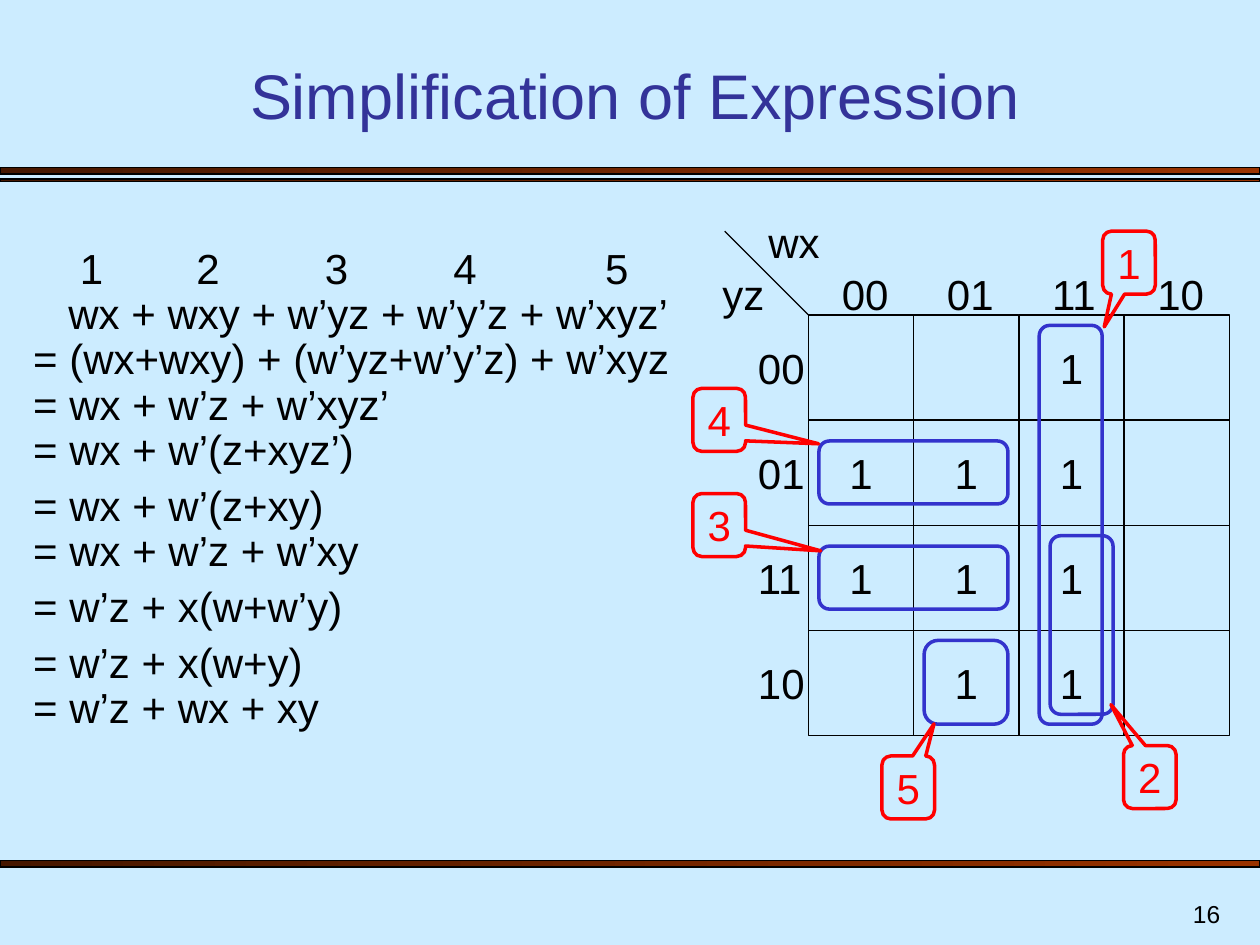
from lxml import etree
from pptx import Presentation
from pptx.dml.color import RGBColor
from pptx.enum.shapes import MSO_CONNECTOR, MSO_SHAPE
from pptx.enum.text import MSO_ANCHOR, PP_ALIGN
from pptx.oxml.ns import qn
from pptx.util import Cm, Pt

RECT = MSO_SHAPE.RECTANGLE
ROUNDED = MSO_SHAPE.ROUNDED_RECTANGLE
CALLOUT = MSO_SHAPE.ROUNDED_RECTANGULAR_CALLOUT
STRAIGHT = MSO_CONNECTOR.STRAIGHT
TOP, MIDDLE, BOTTOM = MSO_ANCHOR.TOP, MSO_ANCHOR.MIDDLE, MSO_ANCHOR.BOTTOM
LEFT, CENTER, RIGHT = PP_ALIGN.LEFT, PP_ALIGN.CENTER, PP_ALIGN.RIGHT

PALE_BLUE = RGBColor(0xCC, 0xEC, 0xFF)
INDIGO = RGBColor(0x33, 0x33, 0x99)
LOOP_BLUE = RGBColor(0x33, 0x33, 0xCC)
RED = RGBColor(0xFF, 0x00, 0x00)
BLACK = RGBColor(0x00, 0x00, 0x00)
RUST = RGBColor(0x99, 0x33, 0x00)
DARK_RUST = RGBColor(0x46, 0x17, 0x00)

FONT = "Arial"
CORNER = 0.167
MAP_LEFT, MAP_TOP, CELL = 16.3, 6.35, 2.12
GRAY_CODE = ["00", "01", "11", "10"]
MINTERMS = ["  1 ", "111 ", "111 ", " 11 "]

BARS = [(3.38, 0.13), (3.61, 0.05), (17.35, 0.13)]
TERM_NUMBERS = "\t1\t2\t3\t4\t5"
TERM_TABS = [0.94, 3.29, 5.88, 8.47, 11.53]
EXPRESSION = "wx + wxy + w’yz + w’y’z + w’xyz’"
EXPRESSION_INDENT = 0.71
STEPS = [
    ["= (wx+wxy) + (w’yz+w’y’z) + w’xyz", "= wx + w’z + w’xyz’", "= wx + w’(z+xyz’)"],
    ["= wx + w’(z+xy)", "= wx + w’z + w’xy"],
    ["= w’z + x(w+w’y)"],
    ["= w’z + x(w+y)", "= w’z + wx + xy"],
]
LOOPS = [
    (20.95, 6.56, 1.27, 8.04),
    (21.17, 10.8, 1.27, 3.6),
    (16.51, 8.89, 3.81, 1.27),
    (16.51, 11.01, 3.81, 1.27),
    (18.63, 12.91, 1.69, 1.69),
]
TERM_CALLOUTS = [
    ("1", 22.23, 4.66, -0.47, 1.02),
    ("2", 22.65, 15.03, -0.74, -1.15),
    ("3", 13.97, 9.95, 1.93, 0.41),
    ("4", 13.97, 7.83, 1.89, 0.38),
    ("5", 17.78, 15.24, 0.49, -1.01),
]


def add_run(paragraph, text, size=24, color=BLACK):
    run = paragraph.add_run()
    run.text = text
    run.font.name = FONT
    run.font.size = Pt(size)
    run.font.color.rgb = color


def add_label(slide, text, box, align=LEFT, anchor=TOP, size=24, color=BLACK):
    frame = slide.shapes.add_textbox(*map(Cm, box)).text_frame
    frame.word_wrap = True
    frame.vertical_anchor = anchor
    frame.paragraphs[0].alignment = align
    add_run(frame.paragraphs[0], text, size, color)


def add_outline(slide, preset, box, color, width, adjustments=()):
    outline = slide.shapes.add_shape(preset, *map(Cm, box))
    outline.shadow.inherit = False
    outline.fill.background()
    outline.line.color.rgb = color
    outline.line.width = Pt(width)
    for index, value in enumerate(adjustments):
        outline.adjustments[index] = value
    return outline


def add_centered_text(outline, text, color=BLACK):
    frame = outline.text_frame
    frame.word_wrap = False
    frame.vertical_anchor = MIDDLE
    frame.paragraphs[0].alignment = CENTER
    add_run(frame.paragraphs[0], text, color=color)


def add_bar(slide, top, height):
    bar = add_outline(slide, RECT, (0, top, 25.4, height), BLACK, 0.75)
    bar.fill.gradient()
    bar.fill.gradient_angle = 180
    for stop, color in zip(bar.fill.gradient_stops, (RUST, DARK_RUST)):
        stop.color.rgb = color


def set_tabs(paragraph, positions):
    tabs = etree.SubElement(paragraph._p.get_or_add_pPr(), qn("a:tabLst"))
    for position in positions:
        etree.SubElement(tabs, qn("a:tab"), pos=str(Cm(position)), algn="l")


def add_step(paragraph, lines, space_before):
    paragraph.alignment = LEFT
    paragraph.line_spacing = 0.9
    paragraph.space_before = Pt(space_before)
    for index, line in enumerate(lines):
        if index:
            paragraph.add_line_break()
        add_run(paragraph, line)


def add_derivation(slide):
    box = slide.shapes.add_textbox(Cm(0.42), Cm(4.87), Cm(13.55), Cm(10.03))
    frame = box.text_frame
    frame.word_wrap = True
    numbers = frame.paragraphs[0]
    add_step(numbers, [TERM_NUMBERS], 6)
    set_tabs(numbers, TERM_TABS)
    expression = frame.add_paragraph()
    add_step(expression, [EXPRESSION], 0)
    expression._p.get_or_add_pPr().set("marL", str(Cm(EXPRESSION_INDENT)))
    for index, lines in enumerate(STEPS):
        add_step(frame.add_paragraph(), lines, 6 if index else 0)


def add_map(slide):
    add_label(slide, "wx", (15.24, 4.23, 1.69, 1.27))
    add_label(slide, "yz", (14.18, 5.29, 1.48, 1.27), RIGHT)
    divider = slide.shapes.add_connector(
        STRAIGHT, Cm(14.61), Cm(4.66), Cm(MAP_LEFT), Cm(MAP_TOP))
    divider.line.color.rgb = BLACK
    divider.line.width = Pt(0.75)
    etree.SubElement(divider._element.spPr, qn("a:effectLst"))
    for index, code in enumerate(GRAY_CODE):
        offset = index * CELL
        add_label(slide, code, (MAP_LEFT + 0.42 + offset, 5.29, 1.52, 1.27))
        add_label(slide, code, (15.03, MAP_TOP + 0.42 + offset, 1.52, 1.27))
    for row, values in enumerate(MINTERMS):
        for column, value in enumerate(values):
            box = (MAP_LEFT + column * CELL, MAP_TOP + row * CELL, CELL, CELL)
            cell = add_outline(slide, RECT, box, BLACK, 0.75)
            if value == "1":
                add_centered_text(cell, value)


def add_callout(slide, term, left, top, tip_x, tip_y):
    callout = add_outline(slide, CALLOUT, (left, top, 1.06, 1.27), RED, 2,
                          (tip_x, tip_y, CORNER))
    add_centered_text(callout, term, RED)


def main():
    deck = Presentation()
    deck.slide_width, deck.slide_height = Cm(25.4), Cm(19.05)
    slide = deck.slides.add_slide(deck.slide_layouts[6])
    slide.background.fill.solid()
    slide.background.fill.fore_color.rgb = PALE_BLUE
    for top, height in BARS:
        add_bar(slide, top, height)
    add_label(slide, "Simplification of Expression", (1.48, 1.06, 22.65, 1.73),
              CENTER, BOTTOM, 36, INDIGO)
    add_derivation(slide)
    add_map(slide)
    for loop in LOOPS:
        add_outline(slide, ROUNDED, loop, LOOP_BLUE, 2, (CORNER,))
    for callout in TERM_CALLOUTS:
        add_callout(slide, *callout)
    add_label(slide, "16", (19.56, 17.78, 5.29, 1.06), RIGHT, BOTTOM, 14)
    deck.save("out.pptx")


if __name__ == "__main__":
    main()
